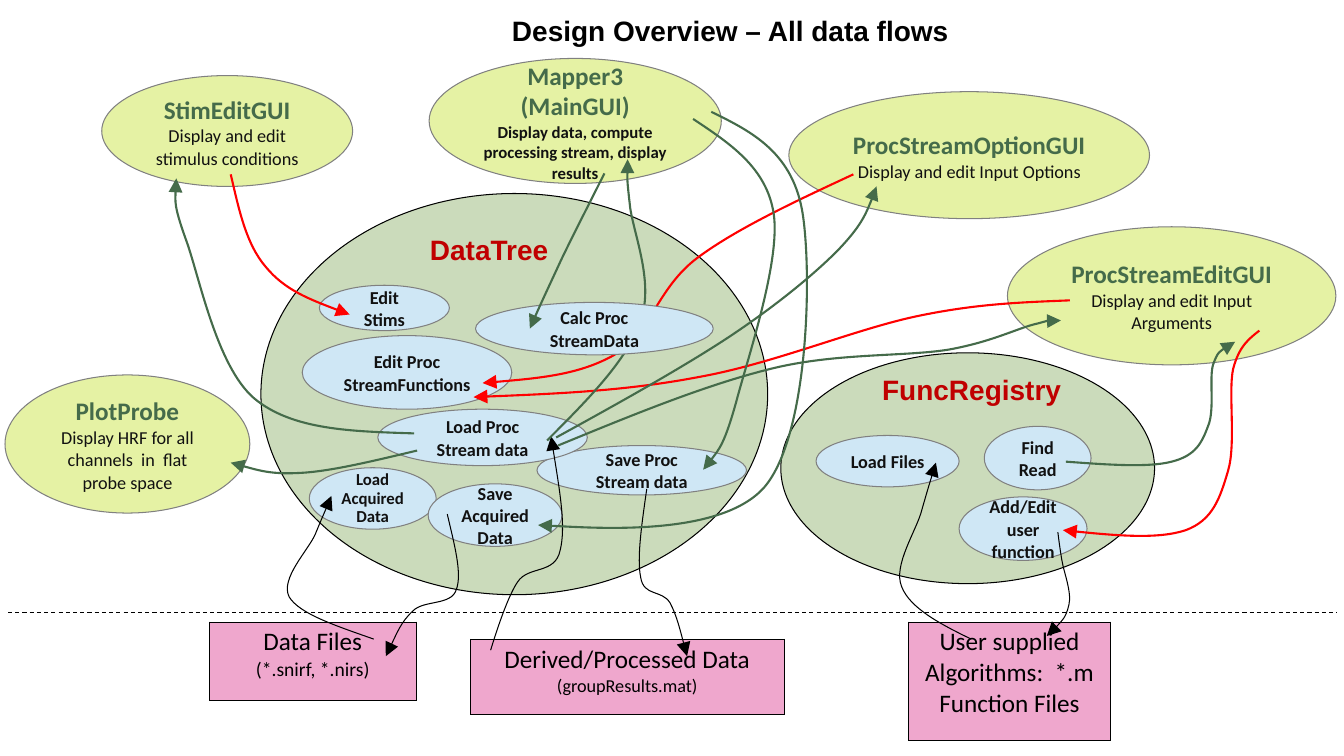
from lxml import etree
from pptx import Presentation
from pptx.dml.color import RGBColor
from pptx.enum.dml import MSO_LINE
from pptx.enum.shapes import MSO_CONNECTOR, MSO_SHAPE
from pptx.enum.text import MSO_ANCHOR, MSO_AUTO_SIZE, PP_ALIGN
from pptx.oxml.ns import qn
from pptx.util import Inches, Pt

ELLIPSE, STRAIGHT = MSO_SHAPE.OVAL, MSO_CONNECTOR.STRAIGHT
CENTER, TOP, MIDDLE = PP_ALIGN.CENTER, MSO_ANCHOR.TOP, MSO_ANCHOR.MIDDLE
DASH, NO_FIT = MSO_LINE.DASH, MSO_AUTO_SIZE.NONE

BLACK = RGBColor(0x00, 0x00, 0x00)
INK = RGBColor(0x11, 0x11, 0x11)
GREY = RGBColor(0x80, 0x80, 0x80)
GREEN = RGBColor(0x45, 0x6B, 0x4A)
RED = RGBColor(0xFF, 0x00, 0x00)
DARK_RED = RGBColor(0xC0, 0x00, 0x00)
SAGE = RGBColor(0xCB, 0xDB, 0xBB)
LIME = RGBColor(0xE5, 0xF2, 0xA4)
SKY = RGBColor(0xCF, 0xE7, 0xF5)
PINK = RGBColor(0xEF, 0xA7, 0xCD)

CELL = Inches(0.1)  # one column or row of the slide grid

# Boxes are left, top, width, height in grid cells
GROUPS = [(77.5, 35, 37.1, 22.9), (25.9, 19.2, 50.3, 39.8)]
FILES = [
    ((20.8, 61.7, 20.5, 7.8), [("Data Files", 18), ("(*.snirf, *.nirs)", 14)]),
    ((90.2, 61.7, 20, 11.7), [("User supplied Algorithms:  *.m Function Files", 18)]),
    ((46.7, 63.4, 31.1, 7.5), [("Derived/Processed Data", 18), ("(groupResults.mat)", 13)]),
]
GUIS = [  # box, name, description, size, bold
    ((100, 22.5, 32.6, 13.7), "ProcStreamEditGUI", "Display and edit Input Arguments", 13, False),
    ((10.1, 7.5, 24.9, 11), "StimEditGUI", "Display and edit stimulus conditions", 13, False),
    ((0.5, 37.2, 24.3, 13.7), "PlotProbe", "Display HRF for all channels  in  flat probe space", 13, False),
    ((78.3, 9.1, 35.8, 12.6), "ProcStreamOptionGUI", "Display and edit Input Options", 13, False),
    ((42.6, 5.8, 29, 12.4), "Mapper3 (MainGUI)",
     "Display data, compute processing stream, display results", 12, True),
]
STEPS = [
    ((81, 43.2, 14.2, 5.1), ["Load Files"]),
    ((97.7, 42.3, 10.6, 6.3), ["Find", "Read"]),
    ((31.7, 28.3, 12.9, 4.5), ["Edit Stims"]),
    ((53.3, 44.2, 20.8, 4.9), ["Save Proc Stream data"]),
    ((95.2, 49.3, 12.7, 6.3), ["Add/Edit user function"]),
    ((42.5, 48, 13.3, 6.2), ["Save Acquired Data"]),
    ((37.5, 40.6, 20.8, 5.6), ["Load Proc Stream data"]),
    ((30, 33.3, 20.8, 7.3), ["Edit Proc StreamFunctions"]),
]
LOAD_ACQUIRED = (30.7, 46.4, 12.6, 6.1)
CALC = (47.2, 30, 23.6, 5.2)
# Bezier flows: start point, then two controls and an end for each segment
FILE_FLOWS = [
    [(37.1, 63.4), (33.4, 62.1), (29.7, 60.9), (28.7, 59.2), (27.8, 57.4), (30.6, 54.6),
     (31.3, 53), (32, 51.3), (32.5, 50.2), (32.9, 49.2)],
    [(96.4, 63.4), (93.3, 61.9), (90.3, 60.3), (89.5, 58.2), (88.6, 56.1), (91, 52.6),
     (91.5, 50.6), (92.1, 48.5), (92.5, 47.2), (92.9, 45.9)],
    [(64.2, 48.5), (63.7, 52), (63.2, 55.4), (63.6, 57.3), (63.9, 59.2), (65.7, 58.5),
     (66.5, 59.8), (67.2, 61.1), (68.2, 65.1), (68.2, 65.1)],
    [(105, 52.8), (105.1, 53.6), (105.2, 54.4), (105.4, 55.6), (105.6, 56.8), (106.4, 58.8),
     (106.1, 60), (105.8, 61.3), (104.9, 62.2), (103.9, 63.1)],
    [(44.4, 51), (45.1, 54), (45.9, 56.9), (45.3, 58.5), (44.8, 60.1), (42.1, 59.5),
     (41, 60.6), (39.8, 61.7), (38.3, 65.1), (38.3, 65.1)],
    [(48.7, 64.5), (48.7, 64.5), (50.2, 59.4), (51.4, 57.7), (52.5, 56.1), (55.1, 57),
     (55.6, 54.6), (56.2, 52.2), (55.4, 47.8), (54.7, 43.3)],
]
EDIT_FLOWS = [
    [(22.9, 17.3), (23.7, 20.7), (24.4, 24.2), (26.4, 26.5), (28.3, 28.8), (31.5, 30), (34.7, 31.2)],
    [(125, 32.8), (124, 33.6), (123, 34.3), (122.4, 36.6), (121.9, 38.9), (122.7, 44),
     (121.9, 46.7), (121.1, 49.4), (120.4, 51.6), (117.7, 52.6), (115, 53.5), (110.2, 53.1), (105.5, 52.6)],
    [(84.7, 17.3), (78.9, 20), (73.1, 22.7), (69.2, 25.6), (65.2, 28.6), (64.6, 33.1),
     (61, 35.2), (57.5, 37.2), (52.7, 37.6), (47.9, 38)],
    [(106.2, 29.8), (101.6, 30), (97, 30.1), (90.9, 31.4), (84.8, 32.7), (76.7, 36.1),
     (69.4, 37.4), (62.1, 38.8), (54.5, 39.1), (47, 39.4)],
]
DATA_FLOWS = [
    [(105.8, 45.8), (109.9, 46.1), (114, 46.4), (116.3, 45.8), (118.7, 45.2), (119.3, 43.9),
     (119.9, 42.3), (120.6, 40.7), (120, 37.6), (120.4, 36.2), (120.9, 34.8), (121.8, 34.3), (122.6, 33.9)],
    [(54.3, 43.7), (58.3, 39.7), (62.3, 35.7), (63.6, 31.8), (65, 27.8), (62.7, 22.8),
     (62.5, 20.1), (62.2, 17.5), (62.3, 16.6), (62.3, 15.8)],
    [(55.4, 44.2), (62.7, 41.2), (70, 38.2), (76.5, 36.6), (82.9, 35), (89.7, 35.4),
     (94.1, 34.7), (98.6, 33.9), (101.1, 32.5), (103, 32.1), (104.8, 31.6), (105.1, 31.7), (105.3, 31.8)],
    [(55.2, 43.4), (61.4, 40), (67.5, 36.6), (72.1, 33.6), (76.8, 30.5), (80.6, 27.4),
     (83.1, 24.9), (85.5, 22.4), (86.3, 20.5), (87, 18.5)],
    [(68.8, 11.8), (72.4, 14.2), (76.1, 16.6), (76.8, 21.2), (77.5, 25.9), (74.2, 35.6),
     (73.1, 39.8), (71.9, 44.1), (70.9, 45.3), (69.8, 46.6)],
    [(70.6, 11.1), (74.7, 13.1), (78.8, 15.2), (79.7, 21.4), (80.6, 27.6), (80.2, 43.2),
     (75.9, 48.3), (71.5, 53.4), (53.4, 52.1), (53.4, 52.1)],
    [(41.4, 44.7), (37.2, 45.7), (33.1, 46.7), (30.1, 46.9), (27, 47.1), (25, 46.5), (22.9, 45.9)],
    [(41.1, 43), (35, 42.8), (29, 42.7), (25.2, 39.5), (21.5, 36.3), (19.8, 27.5),
     (18.5, 23.9), (17.2, 20.3), (17.4, 19), (17.5, 17.7)],
]
CALC_FLOW = [(60, 17.2), (58.5, 20.2), (56.9, 23.3), (55.7, 25.8), (54.5, 28.4), (53.5, 30.5), (52.6, 32.6)]


def grid(*cells):
    return [round(c * CELL) for c in cells]


def write(tf, lines, spacing=None):
    """Fill a frame with (text, size, colour, bold, font) lines."""
    tf.word_wrap = True
    for i, (text, size, color, bold, font) in enumerate(lines):
        p = tf.paragraphs[0] if i == 0 else tf.add_paragraph()
        p.text = text
        p.alignment = CENTER
        if spacing:
            p.line_spacing = spacing
        f = p.runs[0].font
        f.name, f.size, f.bold, f.color.rgb = font, Pt(size), bold, color


def ellipse(s, box, fill, edge, lines=(), spacing=1.02):
    sp = s.shapes.add_shape(ELLIPSE, *grid(*box))
    sp.shadow.inherit = False
    sp.fill.solid()
    sp.fill.fore_color.rgb = fill
    sp.line.color.rgb = edge
    sp.line.width = Pt(0.75)
    sp.text_frame.vertical_anchor = MIDDLE
    write(sp.text_frame, lines, spacing)


def step(s, box, names, size=13, spacing=1.02):
    ellipse(s, box, SKY, GREY, [(n, size, INK, True, "Calibri") for n in names], spacing)


def file_box(s, box, lines):
    table = s.shapes.add_table(1, 1, *grid(*box)).table
    table.first_row = table.horz_banding = False
    cell = table.cell(0, 0)
    tcPr = cell._tc.get_or_add_tcPr()
    for side in ("a:lnL", "a:lnR", "a:lnT", "a:lnB"):
        ln = etree.SubElement(tcPr, qn(side), w=str(Pt(0.45)))
        fill = etree.SubElement(ln, qn("a:solidFill"))
        etree.SubElement(fill, qn("a:srgbClr"), val=str(BLACK))
    cell.fill.solid()
    cell.fill.fore_color.rgb = PINK
    write(cell.text_frame, [(t, size, BLACK, False, "Calibri") for t, size in lines])


def flow(s, points, color, width):
    """Draw a curved arrow through Bezier points."""
    points = [grid(*pt) for pt in points]
    builder = s.shapes.build_freeform(*points[0])
    builder.add_line_segments(points[1:], close=False)
    sp = builder.convert_to_shape()
    # Every three straight segments become one cubic segment
    segments = list(sp._element.iter(qn("a:lnTo")))
    for i in range(0, len(segments), 3):
        curve = etree.SubElement(segments[i].getparent(), qn("a:cubicBezTo"))
        for seg in segments[i:i + 3]:
            curve.append(seg[0])
            seg.getparent().remove(seg)
    sp.shadow.inherit = False
    sp.fill.background()
    sp.line.color.rgb = color
    sp.line.width = Pt(width)
    etree.SubElement(sp.line._get_or_add_ln(), qn("a:tailEnd"), type="triangle", w="lg", len="lg")


def heading(sp, box, text, color):
    sp.left, sp.top, sp.width, sp.height = grid(*box)
    sp.text_frame.auto_size = NO_FIT
    sp.text_frame.vertical_anchor = TOP
    write(sp.text_frame, [(text, 20, color, True, "Arial")])


def divider(s):
    line = s.shapes.add_connector(STRAIGHT, *grid(0.8, 60.8, 132.7, 60.8))
    line.line.color.rgb = BLACK
    line.line.width = Pt(0.75)
    line.line.dash_style = DASH
    etree.SubElement(line._element.spPr, qn("a:effectLst"))


def main():
    prs = Presentation()
    prs.slide_width, prs.slide_height = Inches(13.34), Inches(7.5)
    s = prs.slides.add_slide(prs.slide_layouts[5])
    heading(s.shapes.title, (27.5, 0.8, 90, 4.4), "Design Overview – All data flows", BLACK)

    # Groups, files and windows
    for box in GROUPS:
        ellipse(s, box, SAGE, BLACK)
    for box, lines in FILES:
        file_box(s, box, lines)
    for box, name, about, size, bold in GUIS:
        ellipse(s, box, LIME, GREY, [(name, 18, GREEN, True, "Calibri"),
                                     (about, size, INK, bold, "Calibri")])

    # Processing steps
    step(s, LOAD_ACQUIRED, ["Load Acquired Data"], 12, 0.92)
    for box, names in STEPS:
        step(s, box, names)
    divider(s)

    # Flows; the calculation step lies over those that pass behind it
    for flows, color, width in ((FILE_FLOWS, BLACK, 0.75), (EDIT_FLOWS, RED, 1.5),
                                (DATA_FLOWS, GREEN, 1.5)):
        for points in flows:
            flow(s, points, color, width)
    step(s, CALC, ["Calc Proc StreamData"])
    flow(s, CALC_FLOW, GREEN, 1.5)

    # Group names
    for left, top, name in ((36.7, 22.6, "DataTree"), (84.6, 36.5, "FuncRegistry")):
        box = (left, top, 23.7, 4.4)
        heading(s.shapes.add_textbox(*grid(*box)), box, name, DARK_RED)
    prs.save("out.pptx")


if __name__ == "__main__":
    main()
